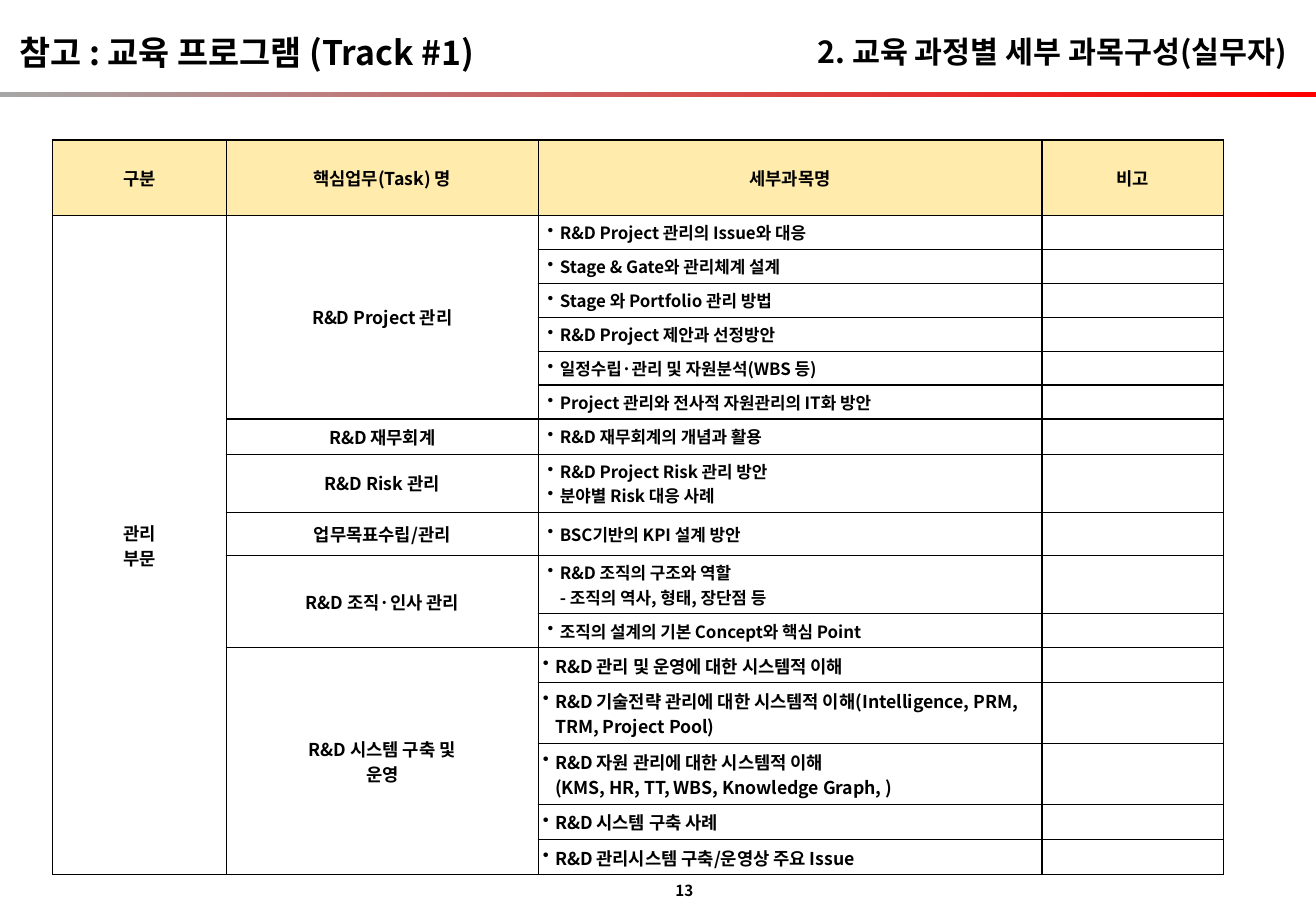
from dataclasses import dataclass

from lxml import etree
from pptx import Presentation
from pptx import util as u
from pptx.dml import color
from pptx.enum import shapes, text
from pptx.oxml import ns

Pt, RGB = u.Pt, color.RGBColor.from_string
LEFT, CENTER, RIGHT = text.PP_ALIGN.LEFT, text.PP_ALIGN.CENTER, text.PP_ALIGN.RIGHT


@dataclass(frozen=True)
class Theme:
    font: str = "Noto Sans CJK KR"
    ink: str = "000000"
    header: str = "FFEBAB"
    rule: tuple = ("A6A6A6", "FF0000")
    heading: float = 20
    title: float = 18
    task: float = 10.5
    detail: float = 10
    number: float = 9
    thin: float = 0.75
    thick: float = 1
    inset: float = 2.83
    wide_inset: float = 5.67
    hang: float = 7.2


T = Theme()

HEADERS = ["구분", "핵심업무(Task) 명", "세부과목명", "비고"]
DIVISION = "관리\n부문"
# Task, detail size, detail side inset, details; \n is a paragraph, \v a line break
TASKS = [
    ("R&D Project 관리", T.detail, T.wide_inset, [
        "R&D Project 관리의 Issue와 대응",
        "Stage & Gate와 관리체계 설계",
        "Stage 와 Portfolio 관리 방법",
        "R&D Project 제안과 선정방안",
        "일정수립·관리 및 자원분석(WBS 등)",
        "Project 관리와 전사적 자원관리의 IT화 방안"]),
    ("R&D 재무회계", T.detail, T.wide_inset, ["R&D 재무회계의 개념과 활용"]),
    ("R&D Risk 관리", T.detail, T.wide_inset, [
        "R&D Project Risk 관리 방안\n분야별 Risk 대응 사례"]),
    ("업무목표수립/관리", T.detail, T.wide_inset, ["BSC기반의 KPI 설계 방안"]),
    ("R&D 조직·인사 관리", T.detail, T.wide_inset, [
        "R&D 조직의 구조와 역할\v- 조직의 역사, 형태, 장단점 등",
        "조직의 설계의 기본 Concept와 핵심 Point"]),
    ("R&D 시스템 구축 및\n운영", T.task, T.inset, [
        "R&D 관리 및 운영에 대한 시스템적 이해",
        "R&D 기술전략 관리에 대한 시스템적 이해(Intelligence, PRM, TRM, Project Pool)",
        "R&D 자원 관리에 대한 시스템적 이해\v(KMS, HR, TT, WBS, Knowledge Graph, )",
        "R&D 시스템 구축 사례",
        "R&D 관리시스템 구축/운영상 주요 Issue"]),
]
COLUMNS = [103.1, 184.9, 298.7, 107.3]
ROWS = [44.6, *[20.15] * 6, 20.85, 34.6, 25.5, 34.6, 20.15, 20.85, 36.1, 36.1, 20.85, 20.85]


def child(parent, tag, **attrs):
    return etree.SubElement(parent, ns.qn(tag), attrs)


def set_all(target, values):
    for name, value in values.items():
        setattr(target, name, value)


def write(tf, words, size, align):
    tf.text = words
    for p in tf.paragraphs:
        p.alignment = align
        for r in p.runs:
            set_all(r.font, {"name": T.font, "size": Pt(size), "bold": True})
            r.font.color.rgb = RGB(T.ink)
            child(r.font._element, "a:ea", typeface=T.font)
        for br in p._p.findall(ns.qn("a:br")):
            child(br, "a:rPr", sz=str(int(size * 100)), b="1")
        if not p.runs:
            child(p._p, "a:endParaRPr", sz=str(int(size * 100)))


def add_bullets(tf):
    for p in tf.paragraphs:
        pPr = p._p.get_or_add_pPr()
        pPr.set("marL", str(Pt(T.hang)))
        pPr.set("indent", str(-Pt(T.hang)))
        child(pPr, "a:buChar", char="•")


def add_borders(cell, widths):
    tcPr = cell._tc.get_or_add_tcPr()
    for i, (side, width) in enumerate(zip("LRTB", widths)):
        ln = etree.Element(ns.qn(f"a:ln{side}"), {"w": str(Pt(width))})
        child(child(ln, "a:solidFill"), "a:srgbClr", val=T.ink)
        tcPr.insert(i, ln)


def add_label(slide, box, words, size, align):
    tf = slide.shapes.add_textbox(*map(Pt, box)).text_frame
    set_all(tf, {"word_wrap": True, "margin_top": 0, "margin_bottom": 0,
                 "vertical_anchor": text.MSO_ANCHOR.MIDDLE})
    write(tf, words, size, align)


def add_header(slide, box):
    """Heading on the left, title on the right, gradient rule along the bottom."""
    x, y, w, h = box
    add_label(slide, (x + 4.3, y + 15.1, 305.3, 31.7),
              "참고 : 교육 프로그램 (Track #1)", T.heading, LEFT)
    add_label(slide, (x + w - 333.4, y + 15.8, 323.3, 28.8),
              "2. 교육 과정별 세부 과목구성(실무자)", T.title, RIGHT)
    rule = slide.shapes.add_shape(shapes.MSO_SHAPE.RECTANGLE, *map(Pt, (x, y + h - 3, w, 3)))
    rule.shadow.inherit = False
    rule.line.fill.background()
    rule.fill.gradient()
    rule.fill.gradient_angle = 0
    for stop, shade in zip(rule.fill.gradient_stops, T.rule):
        stop.color.rgb = RGB(shade)


def fill_curriculum(table):
    for c, words in enumerate(HEADERS):
        write(table.cell(0, c).text_frame, words, T.task, CENTER)
    write(table.cell(1, 0).text_frame, DIVISION, T.task, CENTER)
    table.cell(1, 0).merge(table.cell(len(ROWS) - 1, 0))
    row = 1
    for task, size, inset, details in TASKS:
        write(table.cell(row, 1).text_frame, task, T.task, CENTER)
        if len(details) > 1:
            table.cell(row, 1).merge(table.cell(row + len(details) - 1, 1))
        for row, detail in enumerate(details, row):
            cell = table.cell(row, 2)
            set_all(cell, {"margin_left": Pt(inset), "margin_right": Pt(inset)})
            write(cell.text_frame, detail, size, LEFT)
            add_bullets(cell.text_frame)
        row += 1


def add_curriculum(slide, x, y):
    table = slide.shapes.add_table(len(ROWS), len(COLUMNS), Pt(x), Pt(y),
                                   Pt(sum(COLUMNS)), Pt(sum(ROWS))).table
    set_all(table, {"first_row": False, "horz_banding": False})
    for column, width in zip(table.columns, COLUMNS):
        column.width = Pt(width)
    for row, height in zip(table.rows, ROWS):
        row.height = Pt(height)
    sides = ("margin_left", "margin_right", "margin_top", "margin_bottom")
    for cell in table.iter_cells():
        set_all(cell, dict.fromkeys(sides, Pt(T.inset)))
        cell.vertical_anchor = text.MSO_ANCHOR.MIDDLE
    fill_curriculum(table)
    for r in range(len(ROWS)):
        for c in range(len(COLUMNS)):
            cell = table.cell(r, c)
            if not cell.text_frame.text:
                write(cell.text_frame, "", T.detail, LEFT)
            if r == 0:
                cell.fill.solid()
                cell.fill.fore_color.rgb = RGB(T.header)
            else:
                cell.fill.background()
            add_borders(cell, (T.thick if c == 3 else T.thin,
                               T.thick if c == 2 else T.thin, T.thin, T.thin))


def main():
    prs = Presentation()
    set_all(prs, {"slide_width": Pt(780), "slide_height": Pt(540)})
    slide = prs.slides.add_slide(prs.slide_layouts[6])
    add_header(slide, (0, 0, 780, 57.6))
    add_curriculum(slide, 31, 83)
    add_label(slide, (382, 519, 36, 18), "13", T.number, RIGHT)
    prs.save("out.pptx")


if __name__ == "__main__":
    main()
